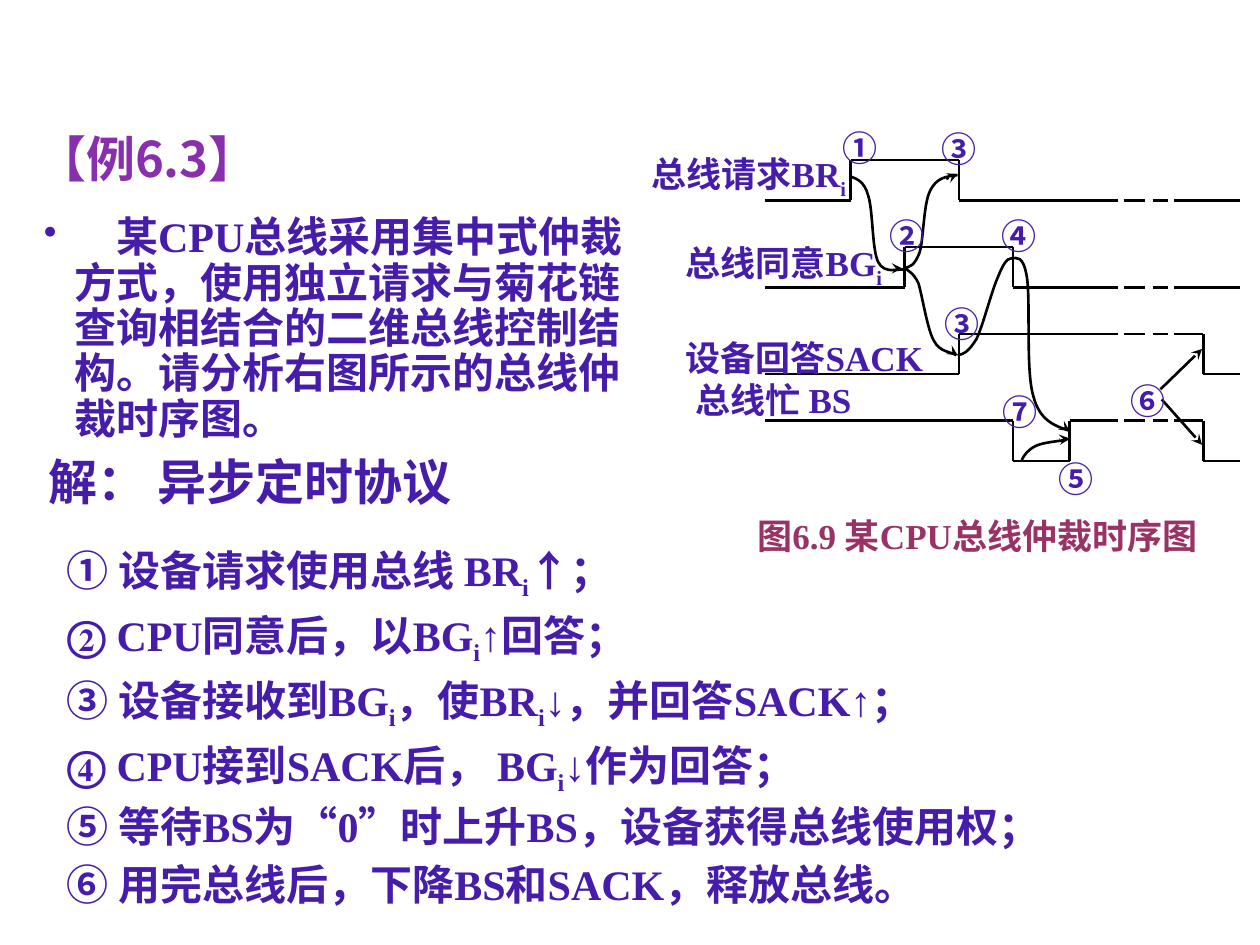
from itertools import pairwise

from lxml.etree import SubElement
from pptx import Presentation
from pptx.dml.color import RGBColor
from pptx.enum.dml import MSO_LINE_DASH_STYLE as Dash
from pptx.enum.shapes import MSO_CONNECTOR_TYPE as Connector
from pptx.enum.text import MSO_ANCHOR as Anchor, MSO_AUTO_SIZE as AutoSize, PP_ALIGN as Align
from pptx.oxml.ns import qn
from pptx.util import Emu, Inches, Pt

LATIN, CHINESE = "Times New Roman", "Noto Sans CJK SC"
VIOLET, PURPLE, PLUM, BLACK = "461DAB", "892FAD", "993366", "000000"

FIRST_HIGH, ROW_PITCH, SWING = 1.27, 0.69, 0.32
FIRST_EDGE, EDGE_PITCH = 6.75, 0.43
T1, T2, T3, T4 = (FIRST_EDGE + EDGE_PITCH * step for step in range(4))
T5, RELEASE = 8.49, 9.55
WAVE_START, DASH_START, DASH_END, WAVE_END = 6.07, 8.92, 9.27, 9.84
DASH_GAP = 0.05

WAVES = [
    (0, [T1, T3], []),
    (0, [T2, T4], []),
    (0, [T3], [RELEASE]),
    (1, [T4, T5], [RELEASE]),
]
CURVES = [
    [(6.75, 1.4), (6.8, 1.42), (6.86, 1.44), (6.89, 1.55), (6.93, 1.67), (6.92, 1.98),
     (6.97, 2.08), (7.02, 2.18), (7.14, 2.13), (7.17, 2.14)],
    [(7.17, 2.13), (7.22, 2.12), (7.26, 2.11), (7.3, 2), (7.33, 1.9), (7.33, 1.62),
     (7.38, 1.52), (7.43, 1.41), (7.51, 1.4), (7.6, 1.39)],
    [(7.19, 2.13), (7.2, 2.15), (7.25, 2.16), (7.29, 2.25), (7.32, 2.35), (7.36, 2.61),
     (7.41, 2.7), (7.46, 2.8), (7.55, 2.79), (7.59, 2.82)],
    [(7.6, 2.82), (7.65, 2.81), (7.69, 2.79), (7.75, 2.69), (7.8, 2.59), (7.87, 2.31),
     (7.92, 2.2), (7.96, 2.1), (7.99, 2.05), (8.03, 2.05), (8.07, 2.05), (8.12, 2.02),
     (8.15, 2.2), (8.18, 2.39), (8.14, 2.94), (8.2, 3.14), (8.25, 3.34), (8.37, 3.38),
     (8.49, 3.42)],
    [(8.11, 3.65), (8.13, 3.61), (8.16, 3.57), (8.22, 3.54), (8.28, 3.51), (8.42, 3.5),
     (8.47, 3.49)],
]
ARROWS = [
    ((7.51, 1.42), (7.6, 1.38)),
    ((7.11, 2.13), (7.16, 2.13)),
    ((7.57, 2.8), (7.6, 2.82)),
    ((8.46, 3.4), (8.49, 3.42)),
    ((8.41, 3.49), (8.49, 3.48)),
    ((9.21, 3.09), (9.54, 2.77)),
    ((9.22, 3.17), (9.54, 3.53)),
]
MARKS = [
    ("①", 6.69, 1), ("③", 7.47, 1.01), ("②", 7.06, 1.7), ("④", 7.95, 1.7),
    ("③", 7.5, 2.4), ("⑦", 7.96, 3.1), ("⑥", 8.97, 3.01), ("⑤", 8.4, 3.63),
]
SIGNALS = [
    ("总线请求BR_i", 5.17, 1.21), ("总线同意BG_i", 5.44, 1.92),
    ("设备回答SACK", 5.44, 2.67), ("总线忙 BS", 5.52, 3),
]
STEPS = [
    [("① 设备请求使用总线 ", CHINESE), ("BR_i", LATIN), ("↑；", CHINESE)],
    [("② CPU同意后，以BG_i↑回答；", LATIN)],
    [("③ 设备接收到BG_i，使BR_i↓，并回答SACK↑；", LATIN)],
    [("④ CPU接到SACK后， BG_i↓作为回答；", LATIN)],
    [("⑤ 等待BS为“0”时上升BS，设备获得总线使用权；", LATIN)],
    [("⑥ 用完总线后，下降BS和SACK，释放总线。", LATIN)],
]


def color(value):
    return RGBColor.from_string(value)


def place(shape, left, top, width, height):
    shape.left, shape.top = Inches(left), Inches(top)
    shape.width, shape.height = Inches(width), Inches(height)


def set_font(font, size, name, shade):
    font.size, font.name, font.bold = Pt(size), name, True
    font.color.rgb = color(shade)


def add_spans(para, text, name=None):
    for number, piece in enumerate(text.split("_i")):
        if number:
            index = para.add_run()
            index.text = "i"
            index._r.get_or_add_rPr().set("baseline", "-25000")
        if piece:
            span = para.add_run()
            span.text = piece
            if name:
                span.font.name = name


def set_indent(para, margin, bullet=None):
    props = para._p.get_or_add_pPr()
    props.set("marL", str(Inches(margin)))
    props.set("indent", str(-Inches(margin)))
    if bullet:
        SubElement(props, qn("a:buSzPct"), val="90000")
        SubElement(props, qn("a:buChar"), char=bullet)
    else:
        SubElement(props, qn("a:buNone"))


def add_text(page, text, left, top, width, height, size=20, name=LATIN, shade=VIOLET,
             inset=(0, 0), spacing=None, bullet=None):
    box = page.shapes.add_textbox(0, 0, 0, 0)
    place(box, left, top, width, height)
    frame = box.text_frame
    frame.word_wrap = True
    frame.margin_left = frame.margin_right = Inches(inset[0])
    frame.margin_top = frame.margin_bottom = Inches(inset[1])
    para = frame.paragraphs[0]
    add_spans(para, text)
    if spacing:
        para.line_spacing = spacing
    if bullet:
        set_indent(para, 0.24, bullet)
    set_font(para.font, size, name, shade)


def add_line(page, start, end, dash=None, arrow=False):
    line = page.shapes.add_connector(Connector.STRAIGHT, *map(Inches, (*start, *end)))
    line.line.color.rgb = color(BLACK)
    line.line.width = Pt(1.5)
    if dash:
        line.line.dash_style = dash
    if arrow:
        SubElement(line.line._get_or_add_ln(), qn("a:tailEnd"), type="stealth")
    SubElement(line._element.spPr, qn("a:effectLst"))


def add_curve(page, points):
    start, *rest = [(Inches(x), Inches(y)) for x, y in points]
    builder = page.shapes.build_freeform(*start, scale=1.0)
    builder.add_line_segments(rest, close=False)
    curve = builder.convert_to_shape(Emu(0), Emu(0))
    outline = next(curve._element.iter(qn("a:path")))
    steps = outline.findall(qn("a:lnTo"))
    for first in range(0, len(steps), 3):
        bend = SubElement(outline, qn("a:cubicBezTo"))
        for step in steps[first:first + 3]:
            bend.append(step[0])
            outline.remove(step)
    curve.shadow.inherit = False
    curve.fill.background()
    curve.line.color.rgb = color(BLACK)
    curve.line.width = Pt(1.5)


def add_wave(page, row, level, edges, late_edges):
    def height(state):
        return FIRST_HIGH + ROW_PITCH * row + SWING * (1 - state)

    def trace(start, end, state, switches):
        points = [(start, height(state))]
        for x in switches:
            points.append((x, height(state)))
            state = 1 - state
            points.append((x, height(state)))
        points.append((end, height(state)))
        for first, second in pairwise(points):
            add_line(page, first, second)
        return state

    level = trace(WAVE_START, DASH_START - DASH_GAP, level, edges)
    add_line(page, (DASH_START, height(level)), (DASH_END, height(level)), Dash.LONG_DASH)
    trace(DASH_END + DASH_GAP, WAVE_END, level, late_edges)


def fill_title(title):
    place(title, 0, 0.92, 2.5, 0.66)
    frame = title.text_frame
    frame.auto_size = AutoSize.NONE
    frame.vertical_anchor = Anchor.MIDDLE
    frame.margin_right = Inches(0.26)
    para = frame.paragraphs[0]
    add_spans(para, "【例6.3】")
    para.alignment = Align.CENTER
    set_font(para.font, 28, CHINESE, PURPLE)


def fill_steps(body):
    place(body, 0.43, 4.27, 9.17, 3.23)
    frame = body.text_frame
    frame.auto_size = AutoSize.NONE
    for number, spans in enumerate(STEPS):
        para = frame.add_paragraph() if number else frame.paragraphs[0]
        for text, name in spans:
            add_spans(para, text, name)
        para.alignment = Align.JUSTIFY
        para.line_spacing = 0.95
        para.space_before = Pt(6 if number else 0)
        set_indent(para, 0.38)
        set_font(para.font, 24, LATIN, VIOLET)


def main():
    deck = Presentation()
    deck.slide_width, deck.slide_height = Inches(10), Inches(7.5)
    page = deck.slides.add_slide(deck.slide_layouts[1])
    fill_title(page.shapes.title)
    fill_steps(page.placeholders[1])
    for row, wave in enumerate(WAVES):
        add_wave(page, row, *wave)
    for points in CURVES:
        add_curve(page, points)
    for start, end in ARROWS:
        add_line(page, start, end, arrow=True)
    for text, left, top in SIGNALS:
        add_text(page, text, left, top, 2, 0.32)
    for text, left, top in MARKS:
        add_text(page, text, left, top, 0.3, 0.25, name=CHINESE)
    add_text(page, "图6.9 某CPU总线仲裁时序图", 6.01, 4.08, 3.59, 0.42, shade=PLUM)
    add_text(page, "　某CPU总线采用集中式仲裁方式，使用独立请求与菊花链查询相结合的二维总线控制结构。"
             "请分析右图所示的总线仲裁时序图。", 0.25, 1.67, 5, 1.96, 24,
             inset=(0.1, 0.05), spacing=0.9, bullet="•")
    add_text(page, "解： 异步定时协议", 0.29, 3.59, 3.5, 0.52, 28, CHINESE,
             inset=(0.1, 0.05), spacing=0.9)
    deck.save("out.pptx")


if __name__ == "__main__":
    main()
